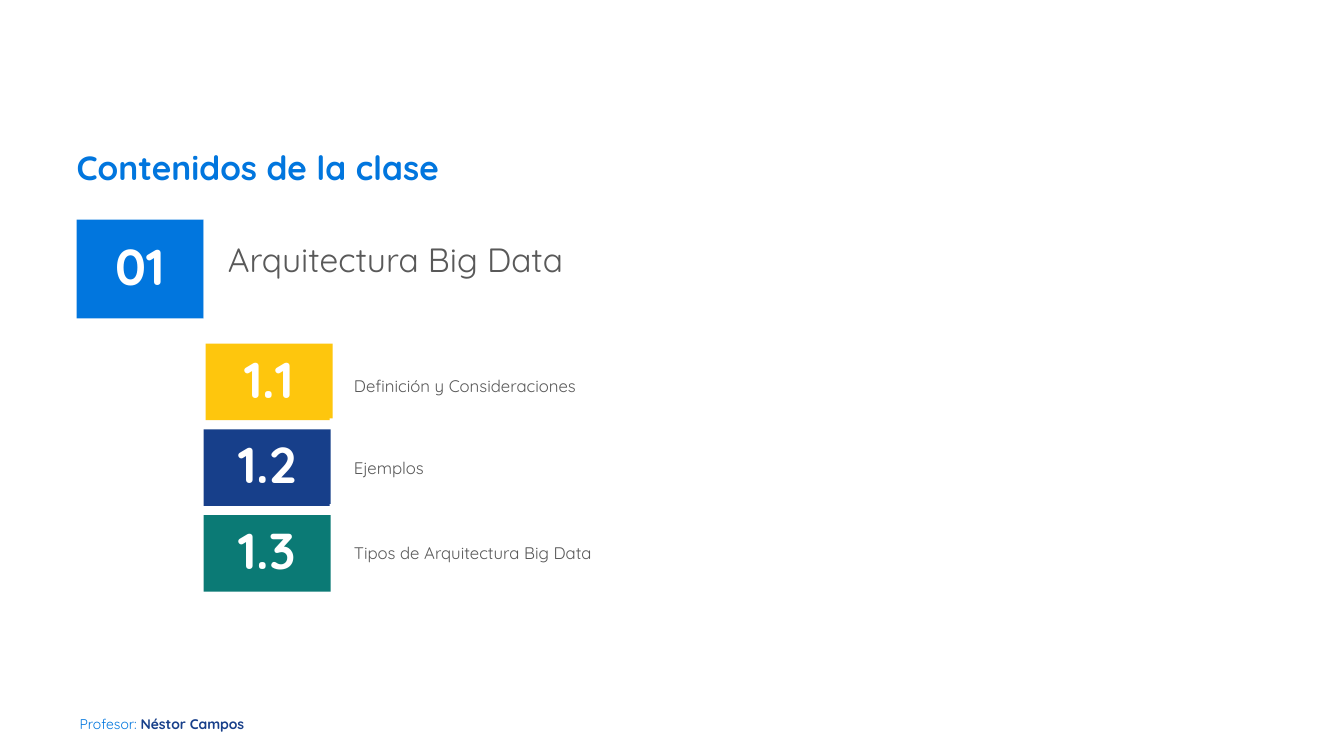
import pptx
import pptx.dml.color
import pptx.enum.shapes
import pptx.enum.text
import pptx.util

Inches = pptx.util.Inches
Pt = pptx.util.Pt
ALIGN = pptx.enum.text.PP_ALIGN
ANCHOR = pptx.enum.text.MSO_ANCHOR

BLUE = "0176DE"
NAVY = "173F8A"
YELLOW = "FEC60D"
TEAL = "0B7A75"
GREY = "595959"
WHITE = "FFFFFF"

TILE_WIDTH = 1.26
TOPIC_HEIGHT = 0.98
SUBTOPIC_TILE_HEIGHT = 0.76
FIRST_TILE_TOP = 3.41
TILE_STEP = 0.85

SUBTOPICS = [
    ("1.1", "Definición y Consideraciones", YELLOW, 2.04, 3.34),
    ("1.2", "Ejemplos", NAVY, 2.02, 4.15),
    ("1.3", "Tipos de Arquitectura Big Data", TEAL, 2.02, 5),
]


def rgb(value):
    return pptx.dml.color.RGBColor.from_string(value)


def apply_format(target, values):
    for key, value in values.items():
        setattr(target, key, value)


def set_margins(frame, horizontal, vertical):
    apply_format(frame, {
        "margin_left": Inches(horizontal),
        "margin_right": Inches(horizontal),
        "margin_top": Inches(vertical),
        "margin_bottom": Inches(vertical),
    })


def write_line(frame, runs, size, spacing, align=ALIGN.LEFT):
    line = frame.paragraphs[0]
    apply_format(line, {"alignment": align, "line_spacing": spacing})
    for words, color, bold in runs:
        run = line.add_run()
        run.text = words
        apply_format(run.font, {"name": "Quicksand", "size": Pt(size), "bold": bold})
        run.font.color.rgb = rgb(color)


def add_heading(slide, box, runs, size, spacing):
    heading = slide.shapes.add_textbox(*map(Inches, box))
    frame = heading.text_frame
    apply_format(frame, {"word_wrap": True, "vertical_anchor": ANCHOR.TOP})
    set_margins(frame, 0, 0)
    write_line(frame, runs, size, Pt(spacing))


def add_panel(slide, box, color):
    panel = slide.shapes.add_shape(
        pptx.enum.shapes.MSO_SHAPE.RECTANGLE, *map(Inches, box))
    panel.shadow.inherit = False
    panel.fill.solid()
    panel.fill.fore_color.rgb = rgb(color)
    panel.line.fill.background()
    frame = panel.text_frame
    apply_format(frame, {"word_wrap": True, "vertical_anchor": ANCHOR.MIDDLE})
    return frame


def add_number_tile(slide, box, number, color):
    frame = add_panel(slide, box, color)
    set_margins(frame, 0.1, 0.05)
    write_line(frame, [(number, WHITE, True)], 36, 0.9, ALIGN.CENTER)


def add_topic_label(slide, box, topic, size):
    frame = add_panel(slide, box, WHITE)
    set_margins(frame, 0.24, 0.24)
    write_line(frame, [(topic, GREY, False)], size, Pt(14))


def main():
    deck = pptx.Presentation()
    apply_format(deck, {"slide_width": Inches(13.33), "slide_height": Inches(7.5)})
    slide = deck.slides.add_slide(deck.slide_layouts[6])

    add_heading(slide, (0.79, 6.96, 2, 0.26),
                [("Profesor: ", BLUE, False), ("Néstor Campos", NAVY, True)], 10, 22)
    add_number_tile(slide, (0.76, 2.18, TILE_WIDTH, TOPIC_HEIGHT), "01", BLUE)
    add_topic_label(slide, (2.02, 2.18, 10.56, TOPIC_HEIGHT), "Arquitectura Big Data", 24)
    add_heading(slide, (0.76, 1.5, 11.81, 0.68),
                [("Contenidos de la clase", BLUE, True)], 24, 26)

    for index, (number, topic, color, tile_left, label_top) in enumerate(SUBTOPICS):
        tile_top = FIRST_TILE_TOP + index * TILE_STEP
        add_topic_label(slide, (3.27, label_top, 6.21, TOPIC_HEIGHT), topic, 12)
        add_number_tile(slide, (tile_left, tile_top, TILE_WIDTH, SUBTOPIC_TILE_HEIGHT),
                        number, color)

    deck.save("out.pptx")


if __name__ == "__main__":
    main()
